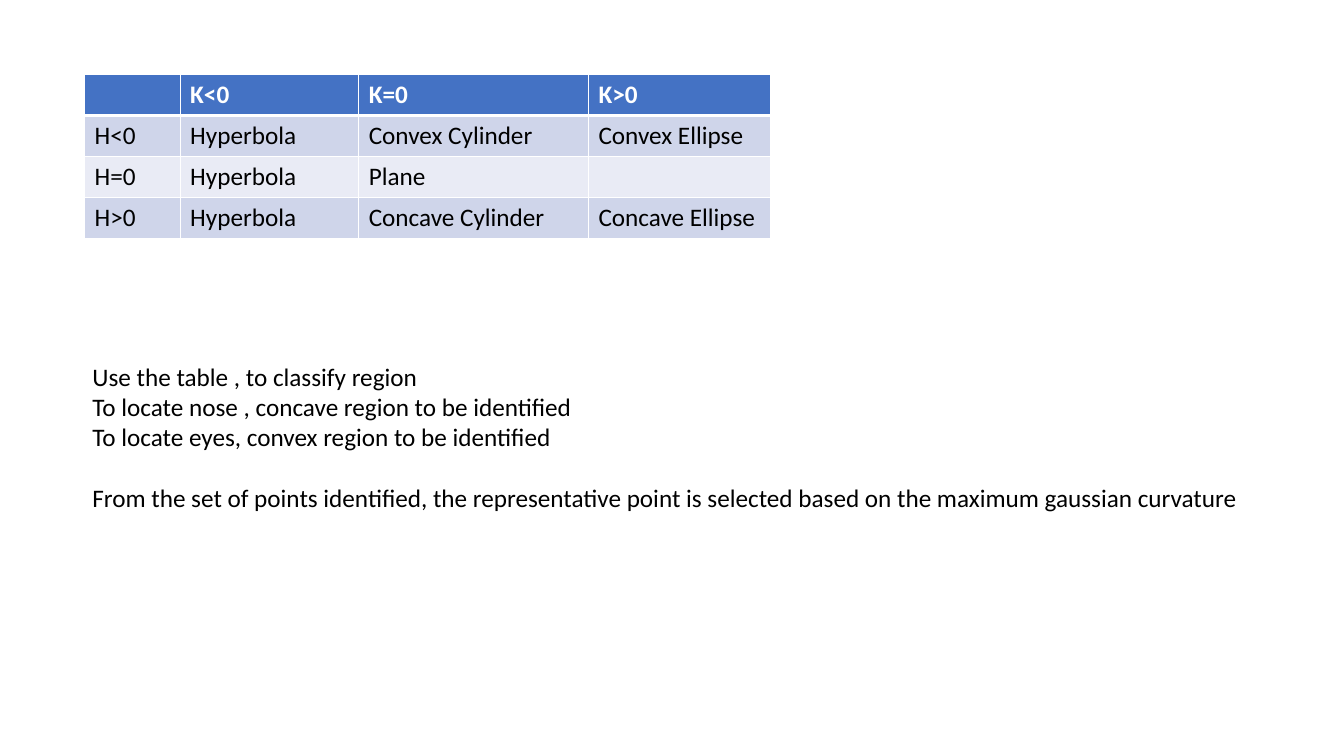
from dataclasses import dataclass

from lxml import etree
from pptx import Presentation, util as u
from pptx.dml.color import RGBColor
from pptx.enum import text
from pptx.oxml import ns

COLORS = {
    "header": "4472C4",
    "odd": "CFD5EA",
    "even": "E9EBF5",
    "white": "FFFFFF",
    "black": "000000",
}
FONT = "Calibri"
FONT_SIZE = u.Pt(18)
COLUMN_WIDTHS = (2.41, 4.5, 5.79, 4.6)
ROW_HEIGHT = 1.03


@dataclass(frozen=True)
class CurvatureRow:
    labels: tuple[str, ...]
    fill: str
    color: str = "black"
    bold: bool = False
    top_width: float = 1
    bottom_width: float = 1


@dataclass(frozen=True)
class Note:
    wording: str
    space_before: float = 0


ROWS = (
    CurvatureRow(("", "K<0", "K=0", "K>0"), "header", "white", True, bottom_width=3),
    CurvatureRow(("H<0", "Hyperbola", "Convex Cylinder", "Convex Ellipse"), "odd", top_width=3),
    CurvatureRow(("H=0", "Hyperbola", "Plane", ""), "even"),
    CurvatureRow(("H>0", "Hyperbola", "Concave Cylinder", "Concave Ellipse"), "odd"),
)
NOTES = (
    Note("Use the table , to classify region"),
    Note("To locate nose , concave region to be identified"),
    Note("To locate eyes, convex region to be identified"),
    Note(
        "From the set of points identified, the representative point is selected "
        "based on the maximum gaussian curvature",
        space_before=22,
    ),
)


def style_font(font, color: str, bold: bool = False) -> None:
    font.name = FONT
    font.size = FONT_SIZE
    font.bold = bold
    font.color.rgb = RGBColor.from_string(COLORS[color])


def add_borders(cell, row: CurvatureRow) -> None:
    properties = cell._tc.get_or_add_tcPr()
    widths = {"lnL": 1, "lnR": 1, "lnT": row.top_width, "lnB": row.bottom_width}
    for position, (side, width) in enumerate(widths.items()):
        line = etree.Element(ns.qn(f"a:{side}"), w=str(u.Pt(width)))
        fill = etree.SubElement(line, ns.qn("a:solidFill"))
        etree.SubElement(fill, ns.qn("a:srgbClr"), val=COLORS["white"])
        properties.insert(position, line)


def fill_cell(cell, label: str, row: CurvatureRow) -> None:
    cell.fill.solid()
    cell.fill.fore_color.rgb = RGBColor.from_string(COLORS[row.fill])
    cell.text_frame.text = label
    para = cell.text_frame.paragraphs[0]
    style_font(para.font, row.color, row.bold)
    for span in para.runs:
        style_font(span.font, row.color, row.bold)
    add_borders(cell, row)


def add_curvature_table(page, rows: tuple[CurvatureRow, ...]) -> None:
    frame = page.shapes.add_table(
        len(rows), len(COLUMN_WIDTHS), u.Cm(2.13), u.Cm(1.88),
        u.Cm(sum(COLUMN_WIDTHS)), u.Cm(ROW_HEIGHT * len(rows)),
    )
    table = frame.table
    for column, width in zip(table.columns, COLUMN_WIDTHS):
        column.width = u.Cm(width)
    for row_index, row in enumerate(rows):
        table.rows[row_index].height = u.Cm(ROW_HEIGHT)
        for column_index, label in enumerate(row.labels):
            fill_cell(table.cell(row_index, column_index), label, row)


def add_notes(page, notes: tuple[Note, ...]) -> None:
    box = page.shapes.add_textbox(u.Cm(2.08), u.Cm(8.97), u.Cm(29.72), u.Cm(4.11))
    frame = box.text_frame
    frame.word_wrap = True
    frame.auto_size = text.MSO_AUTO_SIZE.SHAPE_TO_FIT_TEXT
    frame.text = "\n".join(note.wording for note in notes)
    for para, note in zip(frame.paragraphs, notes):
        para.space_before = u.Pt(note.space_before)
        for span in para.runs:
            style_font(span.font, "black")


def main() -> None:
    deck = Presentation()
    deck.slide_width = u.Cm(33.87)
    deck.slide_height = u.Cm(19.05)
    page = deck.slides.add_slide(deck.slide_layouts[6])
    add_curvature_table(page, ROWS)
    add_notes(page, NOTES)
    deck.save("out.pptx")


if __name__ == "__main__":
    main()
